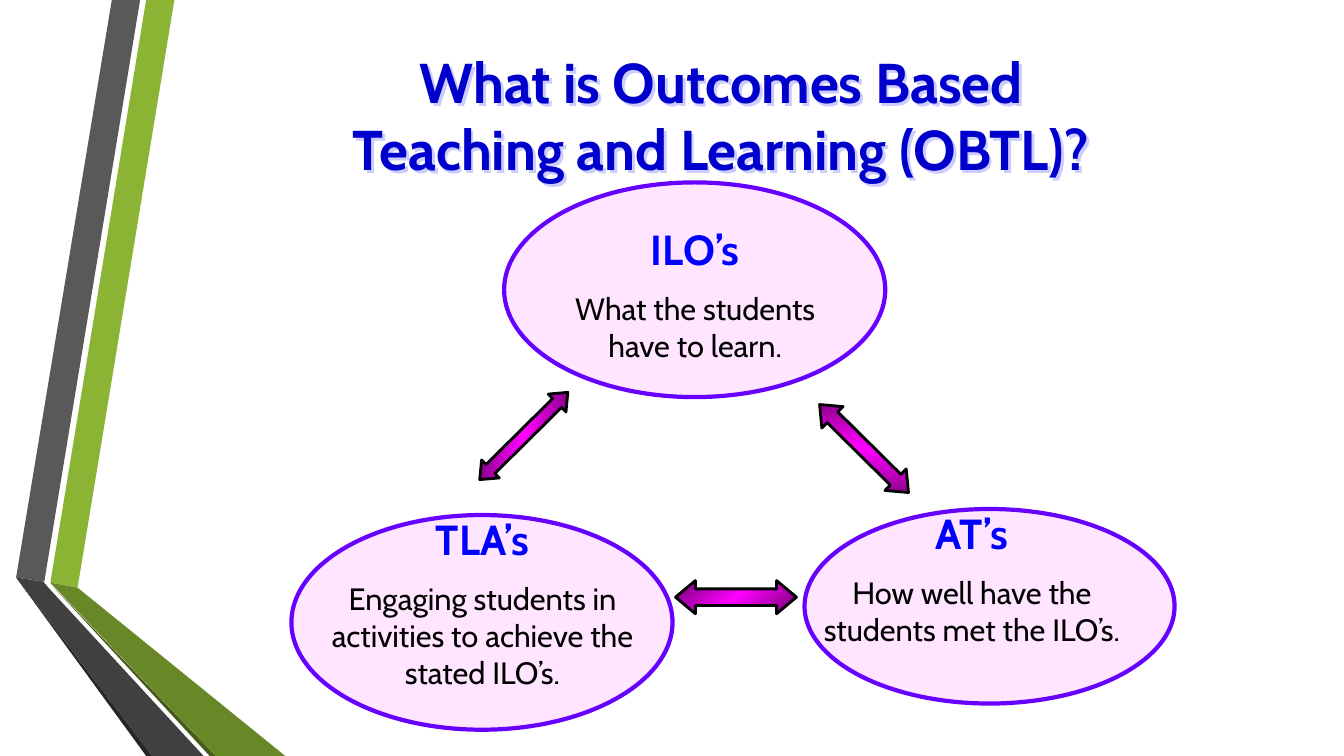
from copy import deepcopy

from lxml import etree
from pptx import Presentation
from pptx.dml.color import RGBColor
from pptx.enum import shapes, text
from pptx.oxml import ns
from pptx.util import Inches, Pt

COLORS = {
    "title": "0000CC", "title shadow": "CCCCFF", "heading": "0000FF", "body": "000000",
    "oval": "FFCCFF", "oval edge": "6600FF",
    "arrow end": "760076", "arrow middle": "FF00FF", "arrow edge": "000000",
    "green": "8BB434", "green fold": "688727", "green edge": "465A1A",
    "gray": "595959", "gray fold": "404040", "gray edge": "262626",
}
FONT = "Cabin"


def rgb(name):
    return RGBColor.from_string(COLORS[name])


def add_run(paragraph, words, size, color, bold):
    run = paragraph.add_run()
    run.text = words
    run.font.name = FONT
    run.font.size = Pt(size)
    run.font.bold = bold
    run.font.color.rgb = rgb(color)


prs = Presentation()
prs.slide_width, prs.slide_height = Inches(13.33), Inches(7.5)
slide = prs.slides.add_slide(prs.slide_layouts[6])

# Folded ribbons along the left edge
ribbons = [
    ("green", [(0.5, 5.78), (0.77, 5.83), (1.73, 0), (1.45, 0)]),
    ("gray", [(1.39, 0), (1.11, 0), (0.16, 5.73), (0.44, 5.77)]),
    ("gray edge", [(0.16, 5.73), (1.45, 7.5), (1.51, 7.5)]),
    ("green edge", [(0.5, 5.79), (2.08, 7.5), (2.14, 7.5)]),
    ("green fold", [(0.5, 5.78), (2.14, 7.5), (2.83, 7.5), (0.77, 5.83)]),
    ("gray fold", [(2.02, 7.5), (0.48, 5.83), (0.43, 5.77), (0.16, 5.73), (1.51, 7.5)]),
]
for color, corners in ribbons:
    points = [(Inches(x), Inches(y)) for x, y in corners]
    outline = slide.shapes.build_freeform(*points[0])
    outline.add_line_segments(points[1:], close=True)
    ribbon = outline.convert_to_shape()
    ribbon.shadow.inherit = False
    ribbon.fill.solid()
    ribbon.fill.fore_color.rgb = rgb(color)
    ribbon.line.fill.background()

# Title with a soft shadow
title = slide.shapes.add_textbox(Inches(2.65), Inches(0.29), Inches(9), Inches(1.7))
title.text_frame.word_wrap = True
title.text_frame.vertical_anchor = text.MSO_ANCHOR.MIDDLE
heading = title.text_frame.paragraphs[0]
heading.alignment = text.PP_ALIGN.CENTER
add_run(heading, "What is Outcomes Based", 40, "title", True)
heading.add_line_break()
add_run(heading, "Teaching and Learning (OBTL)?", 40, "title", True)
effects = etree.SubElement(title._element.spPr, ns.qn("a:effectLst"))
shadow = etree.SubElement(effects, ns.qn("a:outerShdw"), dist=str(Inches(0.04)),
                          dir="2700000", algn="ctr", rotWithShape="0")
etree.SubElement(shadow, ns.qn("a:srgbClr"), val=COLORS["title shadow"])

# Ovals: oval box, text box, heading, explanation
topics = [
    ((5, 1.81, 3.78, 2.13), (5.3, 2.17, 3.19, 1.52),
     "ILO’s", "What the students have to learn."),
    ((2.89, 5.11, 3.78, 2.13), (3.19, 5.05, 3.19, 1.88),
     "TLA’s", "Engaging students in activities to achieve the stated ILO’s."),
    ((7.98, 5.05, 3.67, 1.93), (8.01, 4.99, 3.26, 1.53),
     "AT’s", "How well have the students met the ILO’s."),
]
for oval_box, caption_box, topic, explanation in topics:
    oval = slide.shapes.add_shape(shapes.MSO_SHAPE.OVAL, *map(Inches, oval_box))
    oval.shadow.inherit = False
    oval.fill.solid()
    oval.fill.fore_color.rgb = rgb("oval")
    oval_color = oval._element.spPr.find(ns.qn("a:solidFill"))[0]
    etree.SubElement(oval_color, ns.qn("a:alpha"), val="50000")
    oval.line.color.rgb = rgb("oval edge")
    oval.line.width = Pt(3)

    caption = slide.shapes.add_textbox(*map(Inches, caption_box)).text_frame
    caption.word_wrap = True
    topic_line = caption.paragraphs[0]
    add_run(topic_line, topic, 30, "heading", True)
    explanation_line = caption.add_paragraph()
    explanation_line.space_before = Pt(11)
    add_run(explanation_line, explanation, 22, "body", False)
    for line in caption.paragraphs:
        line.alignment = text.PP_ALIGN.CENTER

# Double arrows between the ovals
arrows = [
    ((6.7, 5.76, 1.2, 0.33), 0),
    ((4.58, 4.2, 1.23, 0.25), 315.3),
    ((7.95, 4.3, 1.24, 0.3), 44.7),
]
for arrow_box, angle in arrows:
    arrow = slide.shapes.add_shape(shapes.MSO_SHAPE.LEFT_RIGHT_ARROW, *map(Inches, arrow_box))
    arrow.shadow.inherit = False
    arrow.rotation = angle
    arrow.adjustments[0], arrow.adjustments[1] = 0.5, 0.6
    arrow.fill.gradient()
    arrow.fill.gradient_angle = 315
    for stop, position in zip(arrow.fill.gradient_stops, (0, 1)):
        stop.color.rgb = rgb("arrow end")
        stop.position = position
    stop_list = arrow._element.spPr.find(ns.qn("a:gradFill")).find(ns.qn("a:gsLst"))
    stop_list.insert(1, deepcopy(stop_list[0]))
    middle = arrow.fill.gradient_stops[1]
    middle.color.rgb = rgb("arrow middle")
    middle.position = 0.5
    arrow.line.color.rgb = rgb("arrow edge")
    arrow.line.width = Pt(2)

prs.save("out.pptx")
